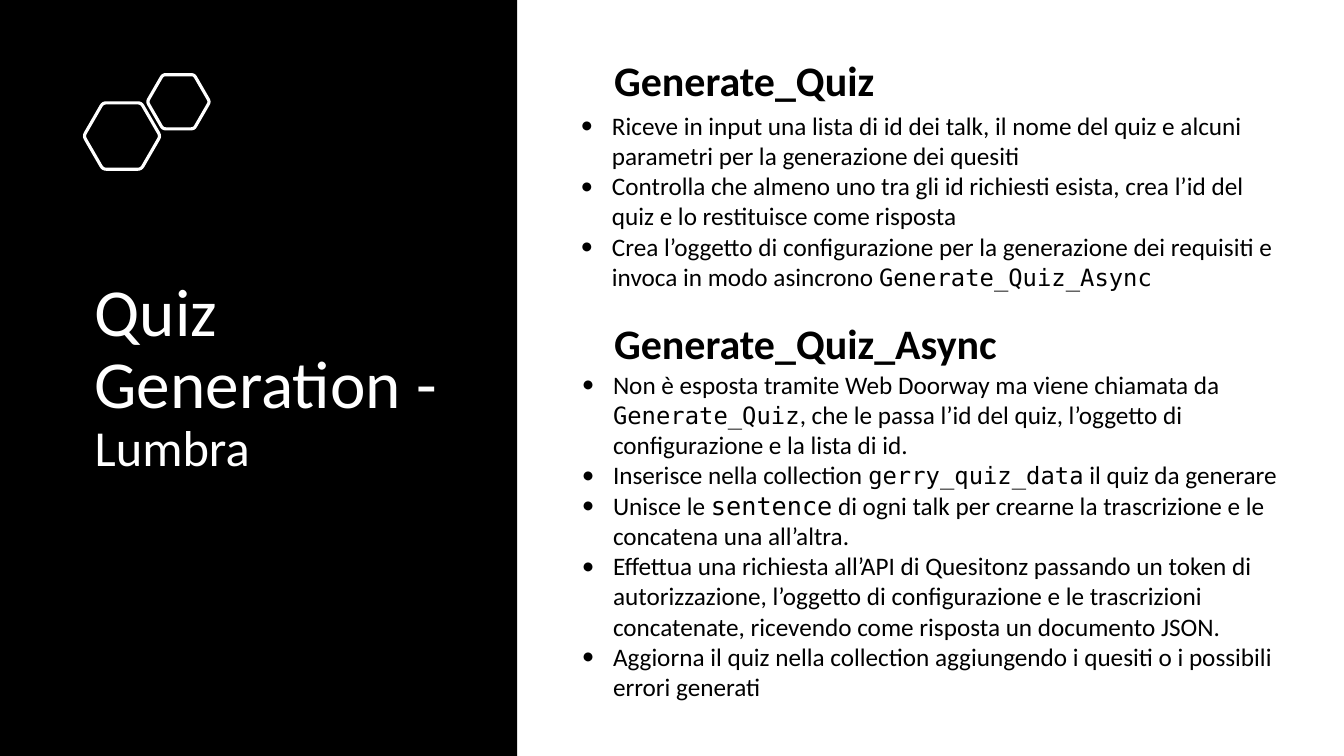
import math
import pptx
import pptx.util
import pptx.dml.color
import pptx.enum.shapes
import pptx.enum.text
import pptx.oxml.ns
import lxml.etree

Inches = pptx.util.Inches
RGBColor = pptx.dml.color.RGBColor
BLACK = RGBColor(0, 0, 0)
WHITE = RGBColor(255, 255, 255)
SANS = "Calibri"
MONO = "DejaVu Sans Mono"
BODY = (18, SANS)
CODE = (17, MONO)
WORD = (18, MONO)


class Deck:
    def __init__(self):
        self.show = pptx.Presentation()
        self.show.slide_width = Inches(13.33)
        self.show.slide_height = Inches(7.5)
        self.slide = self.show.slides.add_slide(self.show.slide_layouts[6])

    def panel(self, left, top, width, height, color):
        rect = pptx.enum.shapes.MSO_SHAPE.RECTANGLE
        shape = self.slide.shapes.add_shape(
            rect, Inches(left), Inches(top), Inches(width), Inches(height))
        shape.shadow.inherit = False
        shape.fill.solid()
        shape.fill.fore_color.rgb = color
        shape.line.fill.background()

    def hexagon(self, x, y, radius, cut=0.09, steps=4):
        tips = [(x + radius * math.cos(math.radians(60 * i)),
                 y + radius * math.sin(math.radians(60 * i))) for i in range(6)]
        dots = []
        for i, tip in enumerate(tips):
            prior, after = tips[i - 1], tips[(i + 1) % 6]
            for step in range(steps + 1):
                t = step / steps
                back, ahead = cut * (1 - t) ** 2, cut * t ** 2
                dots.append(tuple(
                    Inches(c + back * (a - c) + ahead * (b - c))
                    for c, a, b in zip(tip, prior, after)))
        outline = self.slide.shapes.build_freeform(*dots[0], scale=1.0)
        outline.add_line_segments(dots[1:], close=True)
        shape = outline.convert_to_shape()
        shape.shadow.inherit = False
        shape.fill.background()
        shape.line.color.rgb = WHITE
        shape.line.width = pptx.util.Pt(2.25)

    def frame(self, left, top, width, height, inset=True):
        box = self.slide.shapes.add_textbox(
            Inches(left), Inches(top), Inches(width), Inches(height))
        frame = box.text_frame
        frame.word_wrap = True
        if not inset:
            frame.margin_left = frame.margin_right = 0
            frame.margin_top = frame.margin_bottom = 0
        return frame

    def style(self, run, size, face, color=BLACK, bold=False):
        run.font.size = pptx.util.Pt(size)
        run.font.name = face
        run.font.color.rgb = color
        run.font.bold = bold

    def title(self, main, sub, *place):
        frame = self.frame(*place)
        frame.vertical_anchor = pptx.enum.text.MSO_ANCHOR.MIDDLE
        line = frame.paragraphs[0]
        line.line_spacing = 0.9
        line.text = main
        for run in line.runs:
            self.style(run, 48, SANS, WHITE)
        tail = line.add_run()
        tail.text = sub
        self.style(tail, 36, SANS, WHITE)

    def heading(self, text, *place):
        frame = self.frame(*place, inset=False)
        frame.text = text
        self.style(frame.paragraphs[0].runs[0], 30, SANS, bold=True)

    def bullets(self, items, *place):
        frame = self.frame(*place, inset=False)
        for i, item in enumerate(items):
            line = frame.add_paragraph() if i else frame.paragraphs[0]
            props = line._p.get_or_add_pPr()
            props.set("marL", str(Inches(0.31)))
            props.set("indent", str(Inches(-0.31)))
            face = lxml.etree.SubElement(props, pptx.oxml.ns.qn("a:buFont"))
            face.set("typeface", SANS)
            mark = lxml.etree.SubElement(props, pptx.oxml.ns.qn("a:buChar"))
            mark.set("char", "•")
            for text, look in item:
                run = line.add_run()
                run.text = text
                self.style(run, *look)


QUIZ = [
    [("Riceve in input una lista di id dei talk, il nome del quiz e alcuni "
      "parametri per la generazione dei quesiti", BODY)],
    [("Controlla che almeno uno tra gli id richiesti esista, crea l’id del "
      "quiz e lo restituisce come risposta", BODY)],
    [("Crea l’oggetto di configurazione per la generazione dei requisiti e "
      "invoca in modo asincrono ", BODY), ("Generate_Quiz_Async", CODE)],
]
ASYNC = [
    [("Non è esposta tramite Web Doorway ma viene chiamata da ", BODY),
     ("Generate_Quiz", CODE),
     (", che le passa l’id del quiz, l’oggetto di configurazione e la lista "
      "di id.", BODY)],
    [("Inserisce nella collection ", BODY), ("gerry_quiz_data", CODE),
     (" il quiz da generare", BODY)],
    [("Unisce le ", BODY), ("sentence", WORD),
     (" di ogni talk per crearne la trascrizione e le concatena una "
      "all’altra.", BODY)],
    [("Effettua una richiesta all’API di Quesitonz passando un token di "
      "autorizzazione, l’oggetto di configurazione e le trascrizioni "
      "concatenate, ricevendo come risposta un documento JSON.", BODY)],
    [("Aggiorna il quiz nella collection aggiungendo i quesiti o i possibili "
      "errori generati", BODY)],
]

deck = Deck()
deck.panel(0, 0, 5.13, 7.5, BLACK)
deck.hexagon(1.21, 1.35, 0.38)
deck.hexagon(1.77, 1.01, 0.31)
deck.title("Quiz\vGeneration - ", "Lumbra", 0.84, 2.63, 3.92, 2.24)
deck.heading("Generate_Quiz", 6.09, 0.54, 6.67, 0.52)
deck.bullets(QUIZ, 5.76, 1.09, 7, 1.77)
deck.heading("Generate_Quiz_Async", 6.09, 3.15, 6.72, 0.52)
deck.bullets(ASYNC, 5.77, 3.66, 6.99, 3.29)
deck.show.save("out.pptx")
